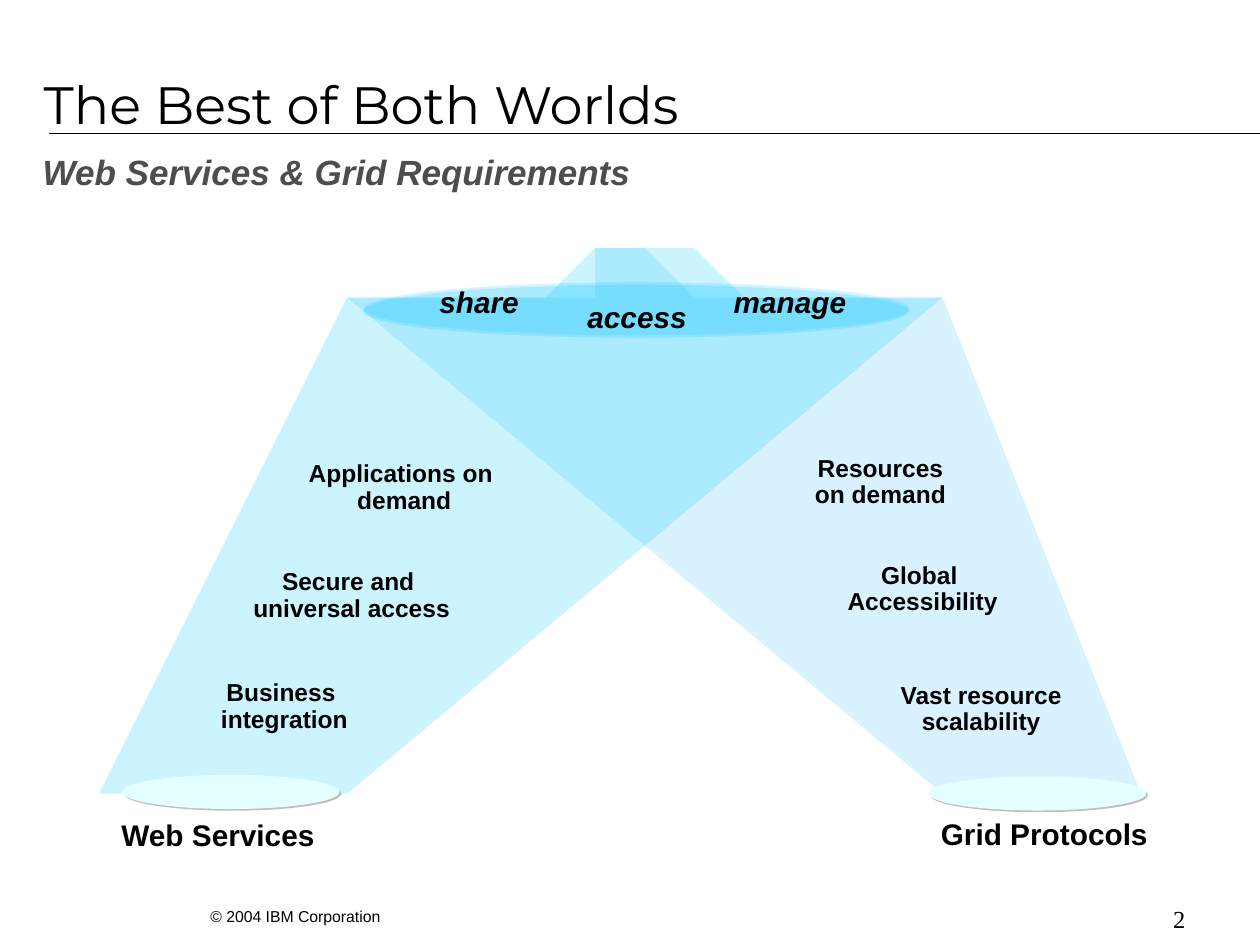
import math
from dataclasses import dataclass

import pptx
import pptx.dml.color
import pptx.enum.shapes
import pptx.enum.text
import pptx.oxml.ns
import pptx.util
from lxml import etree

Cm = pptx.util.Cm
Pt = pptx.util.Pt
RGB = pptx.dml.color.RGBColor.from_string
qn = pptx.oxml.ns.qn
ALIGN = pptx.enum.text.PP_ALIGN
ANCHOR = pptx.enum.text.MSO_ANCHOR
OVAL = pptx.enum.shapes.MSO_SHAPE.OVAL


@dataclass(frozen=True)
class Style:
    size: float
    font: str = "Arial"
    color: str = "000000"
    bold: bool = False
    italic: bool = False
    align: ALIGN = ALIGN.CENTER
    spacing: float = 1.0


@dataclass(frozen=True)
class Theme:
    title: Style = Style(30, "Montserrat", align=ALIGN.LEFT)
    subtitle: Style = Style(20, color="4D4D4D", bold=True, italic=True,
                            align=ALIGN.LEFT, spacing=0.9)
    source: Style = Style(17, bold=True)
    benefit: Style = Style(14, bold=True, spacing=0.9)
    verb: Style = Style(17, bold=True, italic=True, spacing=0.9)
    copyright: Style = Style(9, align=ALIGN.LEFT)
    number: Style = Style(14, "Times New Roman", align=ALIGN.RIGHT)
    rule: str = "000000"
    foot: str = "E3FFFF"
    shadow: str = "808080"


@dataclass(frozen=True)
class Box:
    left: float
    top: float
    width: float
    height: float

    def emu(self) -> tuple:
        return tuple(Cm(v) for v in (self.left, self.top, self.width, self.height))


@dataclass(frozen=True)
class Label:
    lines: tuple
    box: Box
    style: Style


@dataclass(frozen=True)
class Beam:
    color: str
    opacity: int
    mirrored: bool
    shift: float
    lens: Box
    foot: Box


THEME = Theme()
MIRROR = 25.65  # x of a point plus x of its mirror image, in cm

BEAMS = (
    Beam("66CCFF", 25, False, 0, Box(7.34, 5.69, 11, 1.07), Box(18.72, 15.65, 4.39, 0.69)),
    Beam("00CCFF", 20, True, -0.02, Box(7.32, 5.74, 11, 1.07), Box(2.46, 15.62, 4.39, 0.69)),
)

LABELS = (
    Label(("Web Services",), Box(2.44, 16.48, 3.91, 0.71), THEME.source),
    Label(("Business ", "integration"), Box(4.45, 13.72, 2.57, 1.07), THEME.benefit),
    Label(("Secure and ", "universal access"), Box(5.11, 11.48, 3.96, 1.07), THEME.benefit),
    Label(("Applications on ", "demand"), Box(6.22, 9.3, 3.86, 1.07), THEME.benefit),
    Label(("Grid Protocols",), Box(18.97, 16.46, 4.17, 0.71), THEME.source),
    Label(("Vast resource", "scalability"), Box(18.14, 13.77, 3.28, 1.07), THEME.benefit),
    Label(("Global ", "Accessibility"), Box(17.09, 11.35, 3.02, 1.07), THEME.benefit),
    Label(("Resources", "on demand"), Box(16.43, 9.19, 2.64, 1.07), THEME.benefit),
    Label(("access",), Box(11.84, 6.1, 2.01, 0.66), THEME.verb),
    Label(("manage",), Box(14.78, 5.79, 2.29, 0.66), THEME.verb),
    Label(("share",), Box(8.86, 5.79, 1.6, 0.66), THEME.verb),
)


def write(sp, lines: tuple, style: Style, inset: tuple = (0.25, 0.13), wrap: bool = True) -> None:
    tf = sp.text_frame
    x, y = (Cm(v) for v in inset)
    frame = {"auto_size": pptx.enum.text.MSO_AUTO_SIZE.NONE, "word_wrap": wrap,
             "vertical_anchor": ANCHOR.MIDDLE, "margin_left": x, "margin_right": x,
             "margin_top": y, "margin_bottom": y}
    for name, value in frame.items():
        setattr(tf, name, value)
    for i, line in enumerate(lines):
        p = tf.paragraphs[0] if i == 0 else tf.add_paragraph()
        para = {"alignment": style.align, "line_spacing": style.spacing,
                "space_before": Pt(0), "space_after": Pt(0)}
        for name, value in para.items():
            setattr(p, name, value)
        r = p.add_run()
        r.text = line
        font = {"size": Pt(style.size), "name": style.font,
                "bold": style.bold, "italic": style.italic}
        for name, value in font.items():
            setattr(r.font, name, value)
        r.font.color.rgb = RGB(style.color)


def place(sp, box: Box) -> None:
    for name, value in zip(("left", "top", "width", "height"), box.emu()):
        setattr(sp, name, value)


def paint(sp, color: str, opacity: int = 100) -> None:
    sp.shadow.inherit = False
    sp.line.fill.background()
    sp.fill.solid()
    sp.fill.fore_color.rgb = RGB(color)
    if opacity < 100:
        add_alpha(sp.fill._xPr.find(".//" + qn("a:srgbClr")), opacity)


def add_alpha(color_element, opacity: int) -> None:
    etree.SubElement(color_element, qn("a:alpha"), val=str(opacity * 1000))


def add_drop_shadow(sp) -> None:
    effects = sp._element.spPr.find(qn("a:effectLst"))
    shadow = etree.SubElement(effects, qn("a:outerShdw"), blurRad="0",
                              dist=str(Pt(1.4)), dir=str(45 * 60000))
    add_alpha(etree.SubElement(shadow, qn("a:srgbClr"), val=THEME.shadow), 50)


def half_ellipse(cx: float, cy: float, rx: float, ry: float, start: int) -> list:
    angles = (math.radians(start + a) for a in range(0, 181, 6))
    return [(cx + rx * math.cos(a), cy + ry * math.sin(a)) for a in angles]


def draw_beam(slide, beam: Beam) -> None:
    """Draw a beam from its small foot up to the wide lens shared by both beams."""
    shapes = slide.shapes.add_group_shape().shapes
    outline = half_ellipse(21.01, 16.1, 2.34, 0.36, 0) + half_ellipse(12.87, 6.3, 5.85, 0.81, 180)
    points = [(MIRROR - x if beam.mirrored else x, y + beam.shift) for x, y in outline]
    builder = shapes.build_freeform(*points[0], scale=Cm(1))
    builder.add_line_segments(points[1:], close=True)
    paint(builder.convert_to_shape(), beam.color, beam.opacity)
    paint(shapes.add_shape(OVAL, *beam.lens.emu()), beam.color, beam.opacity)
    foot = shapes.add_shape(OVAL, *beam.foot.emu())
    paint(foot, THEME.foot)
    add_drop_shadow(foot)


def draw_rule(slide) -> None:
    line = slide.shapes.add_connector(pptx.enum.shapes.MSO_CONNECTOR.STRAIGHT,
                                      Cm(0.99), Cm(2.69), Cm(25.4), Cm(2.69))
    line.line.color.rgb = RGB(THEME.rule)
    line.line.width = Pt(0.75)
    etree.SubElement(line._element.spPr, qn("a:effectLst"))


def draw_headings(slide) -> None:
    title, body = slide.shapes.title, slide.placeholders[1]
    place(title, Box(0.63, 1.35, 21.59, 1.47))
    write(title, ("The Best of Both Worlds",), THEME.title)
    place(body, Box(0.61, 2.77, 24.79, 1.47))
    pPr = body.text_frame.paragraphs[0]._p.get_or_add_pPr()
    pPr.set("marL", "0")
    pPr.set("indent", "0")
    etree.SubElement(pPr, qn("a:buNone"))
    write(body, ("Web Services & Grid Requirements",), THEME.subtitle)


def main() -> None:
    prs = pptx.Presentation()
    prs.slide_width, prs.slide_height = Cm(25.4), Cm(19.05)
    slide = prs.slides.add_slide(prs.slide_layouts[1])
    draw_headings(slide)
    draw_rule(slide)
    for beam in BEAMS:
        draw_beam(slide, beam)
    for label in LABELS:
        sp = slide.shapes.add_textbox(*label.box.emu())
        write(sp, label.lines, label.style, inset=(0, 0), wrap=False)
    footer = (
        Label(("© 2004 IBM Corporation",), Box(3.99, 18.16, 4.29, 0.64), THEME.copyright),
        Label(("2",), Box(21.74, 18.21, 2.41, 0.61), THEME.number),
    )
    for label in footer:
        write(slide.shapes.add_textbox(*label.box.emu()), label.lines, label.style)
    prs.save("out.pptx")


if __name__ == "__main__":
    main()
